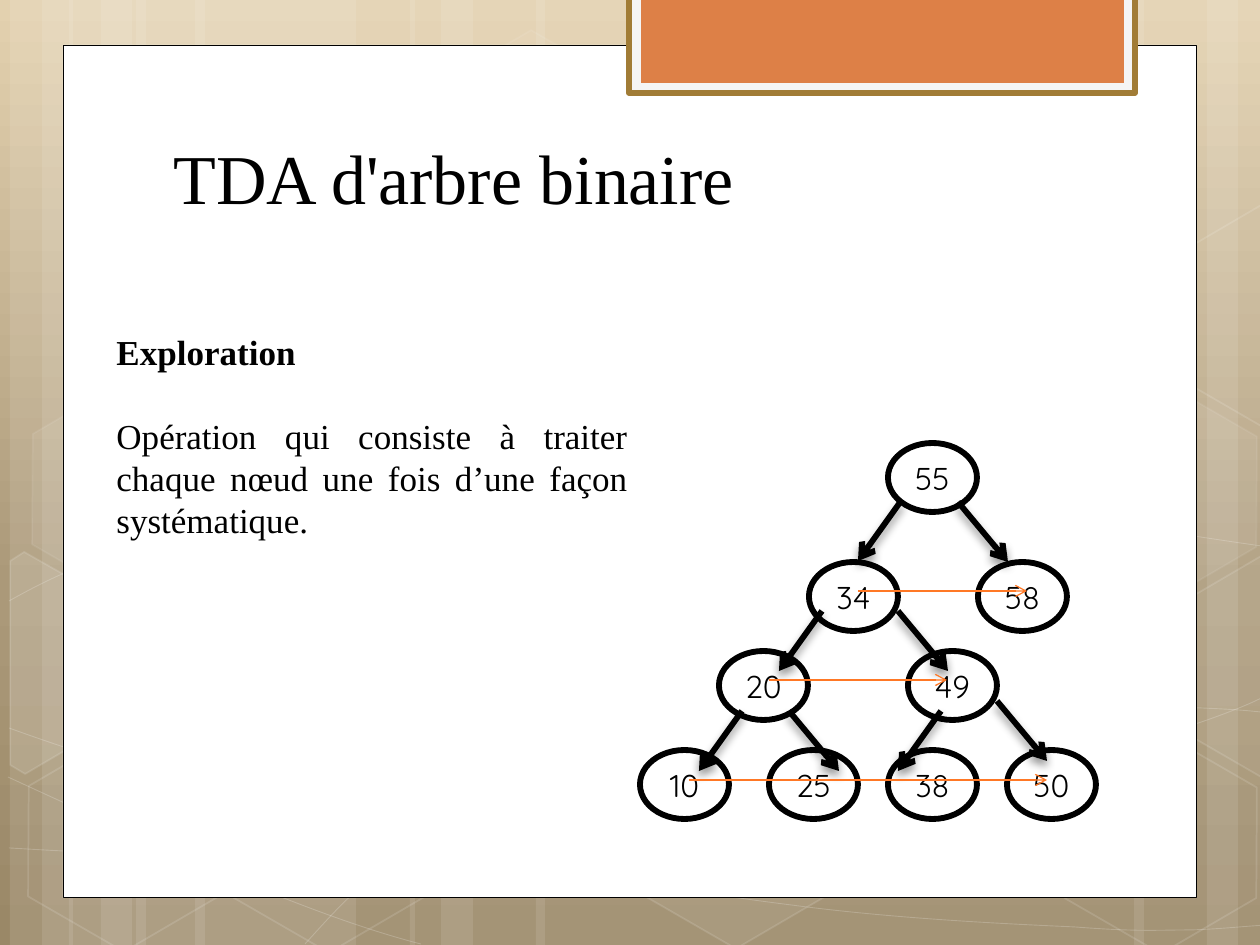
import math
from dataclasses import dataclass

from lxml import etree
from pptx import Presentation
from pptx import util as u
from pptx.dml import color
from pptx.enum import shapes, text
from pptx.oxml import ns

EMU_PER_PX = 914400 / 126
WHITE, BLACK, ORANGE = "FFFFFF", "000000", "FF7825"
SERIF = "Times New Roman"
TILT = 30


@dataclass
class Panel:
    box: tuple
    fill: str | None
    alpha: int = 100
    line: str | None = None
    weight: float = 1
    line_alpha: int = 100
    kind: int = shapes.MSO_SHAPE.RECTANGLE


@dataclass
class Node:
    label: str
    left: int
    top: int


@dataclass
class Arrow:
    start: tuple
    end: tuple
    line: str = BLACK
    weight: float = 3.35
    shadow: bool = True


def px(n: float) -> int:
    return round(n * EMU_PER_PX)


def rgb(value: str) -> color.RGBColor:
    return color.RGBColor.from_string(value)


def child(parent, tag: str, **attrs):
    el = etree.SubElement(parent, ns.qn(tag))
    for name, value in attrs.items():
        el.set(name, str(value))
    return el


def paint(sp, fill=None, alpha=100, line=None, weight=1, line_alpha=100) -> None:
    sp.shadow.inherit = False
    for fmt, value in ((sp.fill, fill), (sp.line.fill, line)):
        if value:
            fmt.solid()
            fmt.fore_color.rgb = rgb(value)
        else:
            fmt.background()
    if line:
        sp.line.width = u.Pt(weight)
    for query, opacity in (("a:solidFill/a:srgbClr", alpha),
                           ("a:ln/a:solidFill/a:srgbClr", line_alpha)):
        for clr in sp._element.spPr.xpath(query):
            if opacity < 100:
                child(clr, "a:alpha", val=opacity * 1000)


def add_panel(s, panel: Panel):
    sp = s.shapes.add_shape(panel.kind, *map(px, panel.box))
    paint(sp, panel.fill, panel.alpha, panel.line, panel.weight, panel.line_alpha)
    return sp


def add_outline(s, points: list, closed: bool, **look):
    start, *rest = [(px(x), px(y)) for x, y in points]
    builder = s.shapes.build_freeform(*start, scale=1.0)
    builder.add_line_segments(rest, close=closed)
    sp = builder.convert_to_shape()
    paint(sp, **look)
    return sp


def add_curve(s, knots: list) -> None:
    """Joined cubic curves; each curve adds three knots."""
    sp = add_outline(s, knots, False, line=WHITE, weight=0.5, line_alpha=20)
    segments = sp._element.spPr.xpath(".//a:lnTo")
    for i in range(0, len(segments), 3):
        cubic = etree.Element(ns.qn("a:cubicBezTo"))
        segments[i].addprevious(cubic)
        for segment in segments[i:i + 3]:
            cubic.append(segment[0])
            segment.getparent().remove(segment)


def untilt(point: tuple, center: tuple) -> tuple:
    dx, dy = point[0] - center[0], point[1] - center[1]
    c, n = math.cos(math.radians(TILT)), math.sin(math.radians(TILT))
    return center[0] + dx * c + dy * n, center[1] - dx * n + dy * c


def write(p, value: str, size: float, font: str, bold=False, **layout) -> None:
    for name, setting in layout.items():
        setattr(p, name, setting)
    r = p.add_run()
    r.text = value
    for name, setting in dict(size=u.Pt(size), name=font, bold=bold).items():
        setattr(r.font, name, setting)
    r.font.color.rgb = rgb(BLACK)


def add_text_box(s, box: tuple, anchor):
    tf = s.shapes.add_textbox(*map(px, box)).text_frame
    tf.word_wrap = True
    tf.vertical_anchor = anchor
    return tf


def add_node(s, node: Node) -> None:
    sp = add_panel(s, Panel((node.left, node.top, 89, 69), WHITE, line=BLACK,
                            weight=3.35, kind=shapes.MSO_SHAPE.OVAL))
    tf = sp.text_frame
    frame = dict(word_wrap=False, margin_left=0, margin_right=0,
                 vertical_anchor=text.MSO_ANCHOR.MIDDLE)
    for name, setting in frame.items():
        setattr(tf, name, setting)
    write(tf.paragraphs[0], node.label, 18, "Quicksand", alignment=text.PP_ALIGN.CENTER)


def add_arrow(s, arrow: Arrow) -> None:
    cn = s.shapes.add_connector(shapes.MSO_CONNECTOR.STRAIGHT,
                                *map(px, arrow.start + arrow.end))
    cn.line.color.rgb = rgb(arrow.line)
    cn.line.width = u.Pt(arrow.weight)
    child(cn.line._get_or_add_ln(), "a:tailEnd", type="arrow")
    effects = child(cn._element.spPr, "a:effectLst")
    if arrow.shadow:
        shadow = child(effects, "a:outerShdw", blurRad=u.Pt(5.2), dist=u.Pt(3),
                       dir=5400000, rotWithShape=0)
        child(child(shadow, "a:srgbClr", val=BLACK), "a:alpha", val=40000)


prs = Presentation()
prs.slide_width, prs.slide_height = px(1260), px(945)
s = prs.slides.add_slide(prs.slide_layouts[6])

# Background gradient
bg = s.background.fill
bg.gradient()
bg.gradient_angle = 270
stops = s._element.xpath(".//a:gsLst")[0]
for old in list(stops):
    stops.remove(old)
for pos, value in ((0, "E3D1AF"), (62, "AB9979"), (100, "9A8867")):
    child(child(stops, "a:gs", pos=pos * 1000), "a:srgbClr", val=value)

# Vertical stripes: left and width
for left, width in ((136, 220), (10, 63), (42, 104), (195, 220), (69, 63), (101, 104),
                    (924, 220), (1207, 63), (1134, 104), (536, 388), (410, 63), (441, 104)):
    add_panel(s, Panel((left, 0, width, 945), WHITE, 10))

# Sweeping curves
CURVES = (
    [(9, 848), (77, 852), (145, 856), (239, 854), (334, 853), (451, 851), (577, 838),
     (703, 825), (882, 801), (998, 777), (1113, 753), (1231, 716), (1269, 694)],
    [(9, 601), (45, 581), (82, 562), (152, 543), (224, 524), (326, 496), (437, 488),
     (549, 480), (685, 478), (824, 488), (963, 498), (1193, 537), (1269, 547)],
    [(8, 777), (160, 847), (311, 916), (421, 944)],
    [(9, 728), (48, 742), (88, 756), (161, 776), (234, 795), (344, 827), (450, 848),
     (554, 869), (687, 892), (791, 905), (896, 919), (1008, 924), (1075, 927),
     (1140, 932), (1158, 930), (1191, 930), (1223, 929), (1246, 926), (1269, 925)],
    [(305, 944), (328, 919), (350, 893), (381, 871), (411, 848), (454, 823), (489, 805),
     (524, 788), (546, 780), (592, 767), (638, 755), (722, 737), (766, 728),
     (811, 719), (818, 719), (857, 717), (896, 713), (958, 709), (1000, 708),
     (1045, 707), (1116, 708), (1116, 708), (1144, 708), (1173, 708), (1201, 708),
     (1223, 709), (1245, 710), (1268, 713)],
)
for knots in CURVES:
    add_curve(s, knots)

# Hexagons: left, top, fill opacity, line opacity
for left, top, alpha, line_alpha in ((421, 45, 4, 8), (626, 742, 6, 12), (14, 745, 0, 12),
                                     (18, 393, 7, 8), (219, 746, 0, 12), (949, 571, 10, 12),
                                     (1051, 747, 0, 12), (1051, 396, 7, 8)):
    hexagon = add_panel(s, Panel((left, top, 220, 192), WHITE if alpha else None, alpha,
                                 WHITE, 1, line_alpha, shapes.MSO_SHAPE.HEXAGON))
    hexagon.adjustments[0] = 0.285
    hexagon.rotation = TILT

# Hexagons cut by the slide edges: centre, corners, fill opacity
CUT_RIGHT = [(1167, 611), (1261, 556), (1271, 562), (1271, 772), (1262, 777), (1167, 722)]
for center, points, alpha in (
        ((45, 674), [(10, 561), (24, 552), (121, 607), (120, 718), (25, 774), (10, 765)], 10),
        ((1241, 655), CUT_RIGHT, 4),
        ((1241, 304), [(x, y - 351) for x, y in CUT_RIGHT], 0)):
    cut = add_outline(s, [untilt(point, center) for point in points], True,
                      fill=WHITE if alpha else None, alpha=alpha, line=WHITE, line_alpha=12)
    cut.rotation = TILT

# Page and top tab
for panel in (Panel((63, 45, 1134, 853), WHITE, line=BLACK, weight=0.5),
              Panel((629, -3, 506, 96), "F5F5F5", line="A17C36", weight=3.35),
              Panel((641, -3, 483, 86), "DD8047")):
    add_panel(s, panel)

# Title and body
tf = add_text_box(s, (144, 107, 968, 118), text.MSO_ANCHOR.BOTTOM)
write(tf.paragraphs[0], "\u00a0TDA d'arbre binaire", 40, SERIF)
tf = add_text_box(s, (104, 324, 536, 224), text.MSO_ANCHOR.TOP)
body = dict(alignment=text.PP_ALIGN.JUSTIFY)
write(tf.paragraphs[0], "Exploration", 20, SERIF, True, **body)
write(tf.add_paragraph(), "Opération qui consiste à traiter chaque nœud une fois "
      "d’une façon systématique.", 20, SERIF, space_before=u.Pt(24), **body)

# Tree nodes, level by level
LEVELS = ((443, {"55": 888}), (562, {"34": 809, "58": 978}), (651, {"20": 719, "49": 908}),
          (750, {"10": 640, "25": 769, "38": 888, "50": 1007}))
for top, row in LEVELS:
    for label, left in row.items():
        add_node(s, Node(label, left, top))

# Branches: left ones and right ones share a step
BRANCHES = {(-43, 60): ((901, 501), (822, 611), (742, 711), (941, 711)),
            (50, 60): ((958, 502), (898, 611), (789, 711), (997, 701))}
for (dx, dy), starts in BRANCHES.items():
    for x, y in starts:
        add_arrow(s, Arrow((x, y), (x + dx, y + dy)))

# Traversal arrow on each level
for x1, x2, y in ((858, 1027, 591), (769, 947, 680), (689, 1047, 780)):
    add_arrow(s, Arrow((x1, y), (x2, y), ORANGE, 0.75, False))

prs.save("out.pptx")
